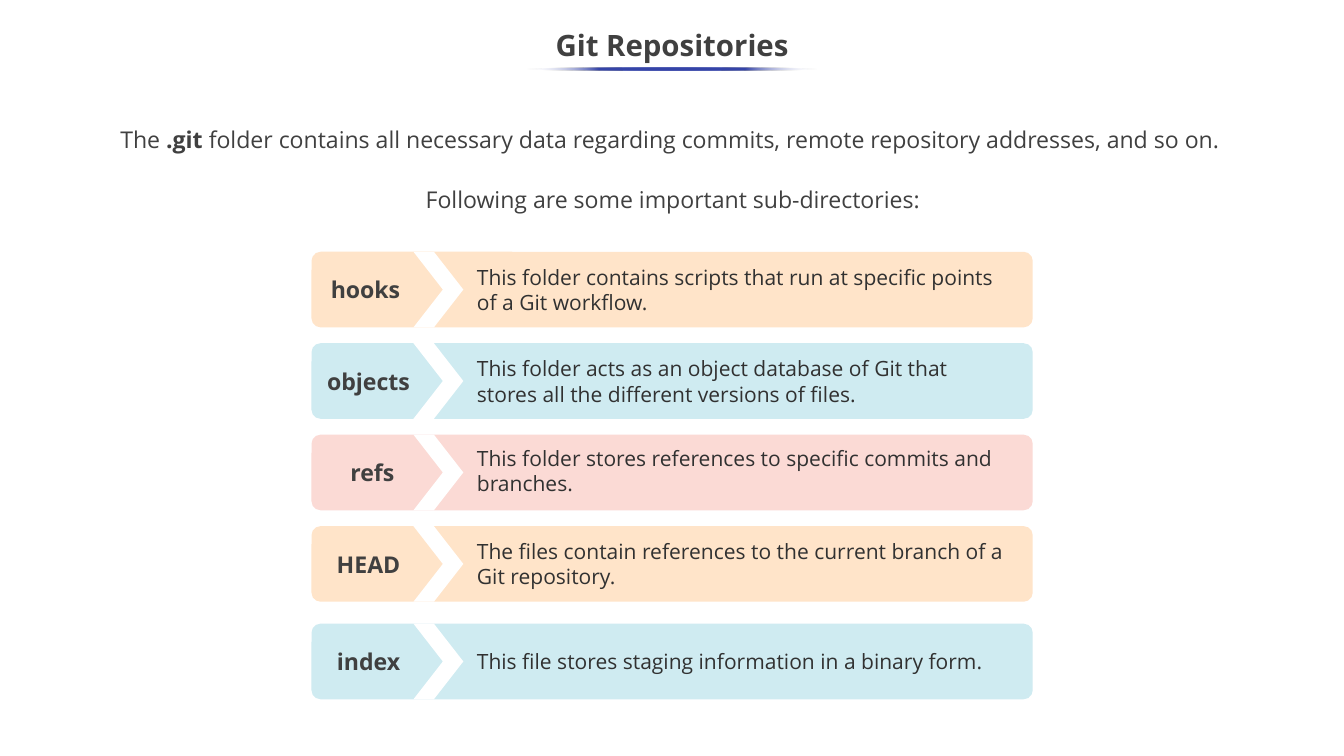
from dataclasses import dataclass

from pptx import Presentation
from pptx import util as u
from pptx.dml.color import RGBColor
from pptx.enum import shapes, text
from pptx.oxml import parse_xml
from pptx.oxml.ns import nsdecls, qn

FONT = "Open Sans"
COLORS = {
    "heading": "404040",
    "body": "313131",
    "white": "FFFFFF",
    "underline": "3645A9",
    "orange": "FFE4C9",
    "blue": "CFEBF1",
    "pink": "FBDAD5",
}
CARD_LEFT, CARD_WIDTH, CARD_HEIGHT = 296.7, 686.9, 72
FIRST_TOP, ROW_PITCH, LAST_TOP = 239.8, 87.1, 594
LABEL_WIDTH = 94


@dataclass
class Area:
    left: float
    top: float
    width: float
    height: float

    def points(self) -> list:
        return [u.Pt(v) for v in (self.left, self.top, self.width, self.height)]


@dataclass
class Span:
    words: str
    size: float
    color: str = "heading"
    bold: bool = False


@dataclass
class Entry:
    label: str
    description: str
    color: str
    top: float
    label_center: float = 351
    description_shift: float = 0


def add_shape(parent, kind, area: Area, color: str, adjustment: float):
    shape = parent.shapes.add_shape(kind, *area.points())
    shape.shadow.inherit = False
    shape.adjustments[0] = adjustment
    shape.fill.solid()
    shape.fill.fore_color.rgb = RGBColor.from_string(COLORS[color])
    shape.line.fill.background()
    return shape


def add_text(parent, area: Area, paragraphs: list[list[Span]], centered: bool = True,
             anchor=text.MSO_ANCHOR.MIDDLE, side_inset: float = 7.2,
             spacing: float = 1.0, gap: float = 0):
    box = parent.shapes.add_textbox(*area.points())
    frame = box.text_frame
    frame.word_wrap = True
    frame.vertical_anchor = anchor
    frame.margin_left = frame.margin_right = u.Pt(side_inset)
    frame.margin_top = frame.margin_bottom = 0
    for index, spans in enumerate(paragraphs):
        para = frame.add_paragraph() if index else frame.paragraphs[0]
        para.alignment = text.PP_ALIGN.CENTER if centered else text.PP_ALIGN.LEFT
        para.line_spacing = spacing
        if index and gap:
            para.space_before = u.Pt(gap)
        for span in spans:
            run = para.add_run()
            run.text = span.words
            run.font.name = FONT
            run.font.size = u.Pt(span.size)
            run.font.bold = span.bold
            run.font.color.rgb = RGBColor.from_string(COLORS[span.color])
    return box


def add_underline(page, area: Area):
    """Thin ellipse that fades out towards both ends."""
    ellipse = page.shapes.add_shape(shapes.MSO_SHAPE.OVAL, *area.points())
    ellipse.shadow.inherit = False
    ellipse.line.fill.background()
    ellipse.fill.gradient()
    ellipse.fill.gradient_angle = 0
    clear = f'<a:srgbClr val="{COLORS["white"]}"><a:alpha val="0"/></a:srgbClr>'
    solid = f'<a:srgbClr val="{COLORS["underline"]}"/>'
    stops = "".join(
        f'<a:gs pos="{percent * 1000}">{color}</a:gs>'
        for percent, color in zip(range(0, 101, 25), (clear, solid, solid, solid, clear))
    )
    gradient = ellipse.fill._xPr.find(qn("a:gradFill"))
    gradient.replace(gradient.find(qn("a:gsLst")),
                     parse_xml(f'<a:gsLst {nsdecls("a")}>{stops}</a:gsLst>'))


def add_entry(page, entry: Entry):
    row = page.shapes.add_group_shape()
    # Card, split by a white chevron
    add_shape(row, shapes.MSO_SHAPE.ROUNDED_RECTANGLE,
              Area(CARD_LEFT, entry.top, CARD_WIDTH, CARD_HEIGHT), entry.color, 0.12)
    add_shape(row, shapes.MSO_SHAPE.CHEVRON,
              Area(393.8, entry.top, 47.5, CARD_HEIGHT), "white", 0.59)
    # Description and label
    add_text(row, Area(447.1, entry.top + entry.description_shift, 524.5, CARD_HEIGHT),
             [[Span(entry.description, 20, "body")]], centered=False)
    add_text(row, Area(entry.label_center - LABEL_WIDTH / 2, entry.top,
                       LABEL_WIDTH, CARD_HEIGHT),
             [[Span(entry.label, 22, bold=True)]], side_inset=0)


def main():
    deck = Presentation()
    deck.slide_width, deck.slide_height = u.Pt(1280), u.Pt(720)
    page = deck.slides.add_slide(deck.slide_layouts[6])

    # Introduction
    add_text(page, Area(101.5, 119.5, 1078.6, 71.3), [
        [Span("The ", 22), Span(".git", 22, bold=True),
         Span(" folder contains all necessary data regarding commits, "
              "remote repository addresses, and so on. ", 22)],
        [Span("Following are some important sub-directories:", 22)],
    ], anchor=text.MSO_ANCHOR.TOP, gap=31)

    # Title and underline
    add_text(page, Area(0, 18, 1280, 54), [[Span("Git Repositories", 28, bold=True)]],
             spacing=0.9)
    add_underline(page, Area(501.8, 64.1, 277.2, 2.9))

    # Sub-directories
    tops = [FIRST_TOP + ROW_PITCH * index for index in range(4)] + [LAST_TOP]
    entries = [
        Entry("hooks ", "This folder contains scripts that run at specific points "
              "of a Git workflow.", "orange", tops[0]),
        Entry("objects", "This folder acts as an object database of Git that "
              "stores all the different versions of files.", "blue", tops[1]),
        Entry("refs", "This folder stores references to specific commits and "
              "branches.", "pink", tops[2], label_center=354.6, description_shift=-1.8),
        Entry("HEAD", "The files contain references to the current branch of a "
              "Git repository.", "orange", tops[3]),
        Entry("index", "This file stores staging information in a binary form.",
              "blue", tops[4]),
    ]
    for entry in entries:
        add_entry(page, entry)

    deck.save("out.pptx")


if __name__ == "__main__":
    main()
